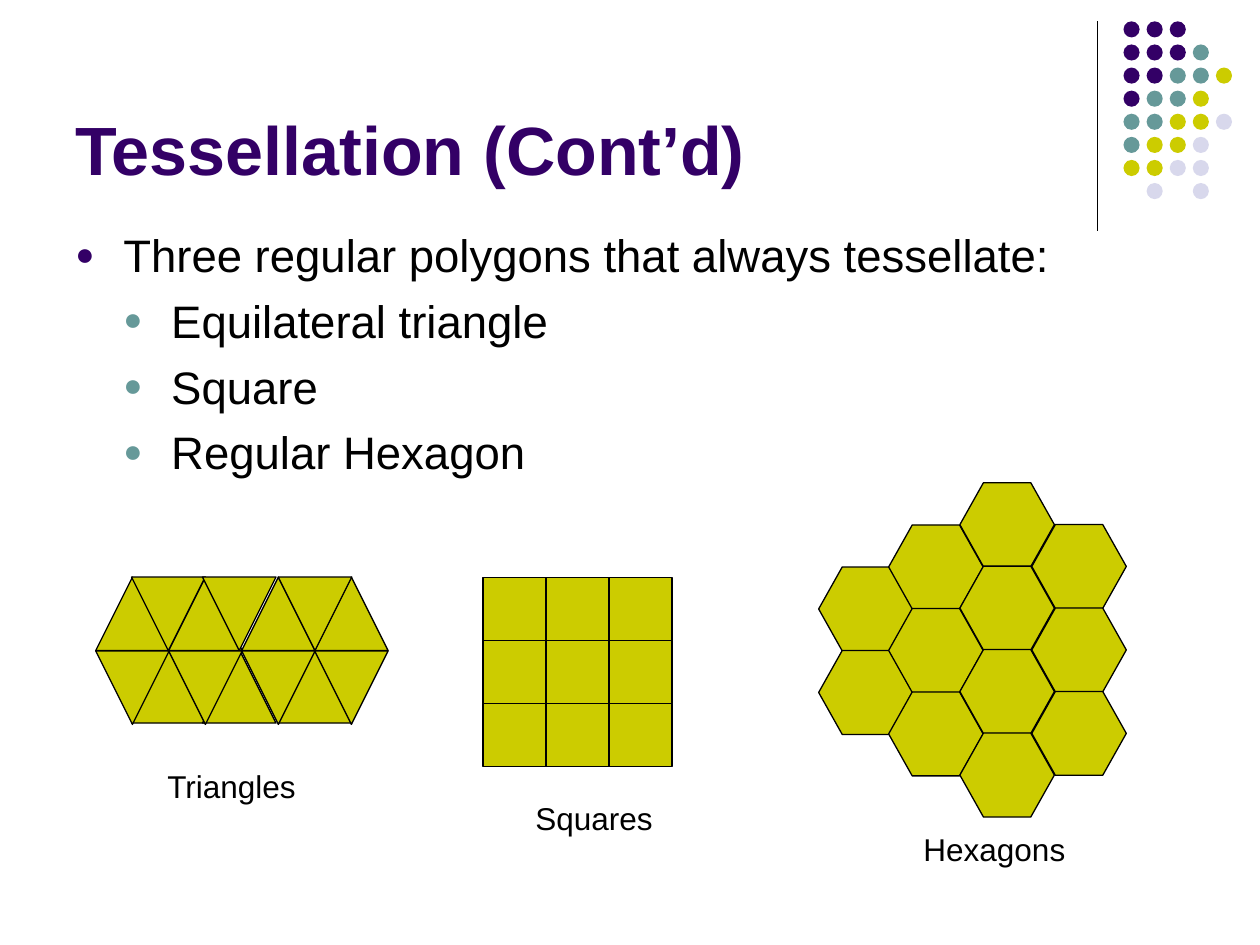
"""Build a slide on the three regular polygons that tessellate."""
from dataclasses import dataclass

from lxml.etree import SubElement
from pptx import Presentation
from pptx.dml.color import RGBColor
from pptx.enum.shapes import MSO_CONNECTOR, MSO_SHAPE
from pptx.enum.text import MSO_ANCHOR, MSO_AUTO_SIZE
from pptx.oxml.ns import qn
from pptx.util import Pt


@dataclass(frozen=True)
class Theme:
    purple: str = "330066"
    teal: str = "669999"
    olive: str = "CCCC00"
    lavender: str = "D8D8EC"
    black: str = "000000"
    font: str = "Arial"
    title_size: float = 39
    body_size: float = 26
    label_size: float = 18
    outline: float = 0.75


theme = Theme()
deck = Presentation()
deck.slide_width, deck.slide_height = Pt(720), Pt(540)
page = deck.slides.add_slide(deck.slide_layouts[6])


def add_tile(kind, left, top, width, height, color=theme.olive, outlined=True):
    shape = page.shapes.add_shape(kind, Pt(left), Pt(top), Pt(width), Pt(height))
    shape.shadow.inherit = False
    shape.fill.solid()
    shape.fill.fore_color.rgb = RGBColor.from_string(color)
    if outlined:
        shape.line.color.rgb = RGBColor.from_string(theme.black)
        shape.line.width = Pt(theme.outline)
    else:
        shape.line.fill.background()
    return shape


def add_text(left, top, width, height, lines, size, color=theme.black,
             bold=False, wrap=True, anchor=MSO_ANCHOR.TOP):
    box = page.shapes.add_textbox(Pt(left), Pt(top), Pt(width), Pt(height))
    frame = box.text_frame
    frame.word_wrap = wrap
    frame.vertical_anchor = anchor
    frame.text = "\n".join(lines)
    for para in frame.paragraphs:
        look = {"name": theme.font, "size": Pt(size), "bold": bold}
        for span in para.runs:
            for name, value in look.items():
                setattr(span.font, name, value)
            span.font.color.rgb = RGBColor.from_string(color)
    return frame


divider = page.shapes.add_connector(
    MSO_CONNECTOR.STRAIGHT, Pt(627), Pt(12.2), Pt(627), Pt(132))
divider.line.color.rgb = RGBColor.from_string(theme.black)
divider.line.width = Pt(theme.outline)
SubElement(divider.element.spPr, qn("a:effectLst"))

dot_colors = {"P": theme.purple, "T": theme.teal, "O": theme.olive, "L": theme.lavender}
dot_rows = ["PPP", "PPPT", "PPTTO", "PTTO", "TTOOL", "TOOL", "OOLL", ".L.L"]
for row, codes in enumerate(dot_rows):
    for column, code in enumerate(codes):
        if code in dot_colors:
            add_tile(MSO_SHAPE.OVAL, 642 + 13.2 * column, 12.2 + 13.2 * row,
                     9.2, 9.2, dot_colors[code], outlined=False)

add_text(36, 9.4, 594, 102.2, ["Tessellation (Cont’d)"], theme.title_size,
         theme.purple, bold=True, anchor=MSO_ANCHOR.BOTTOM)

body = add_text(36, 126, 648, 347, [
    "Three regular polygons that always tessellate:",
    "Equilateral triangle",
    "Square",
    "Regular Hexagon",
], theme.body_size)
for index, para in enumerate(body.paragraphs):
    level = min(index, 1)
    para.level = level
    properties = para._p.get_or_add_pPr()
    properties.set("marL", str(Pt(27.4 * (level + 1))))
    properties.set("indent", str(-Pt(27.4)))
    bullet_color = SubElement(properties, qn("a:buClr"))
    SubElement(bullet_color, qn("a:srgbClr"), val=[theme.purple, theme.teal][level])
    SubElement(properties, qn("a:buSzPct"), val="70000")
    SubElement(properties, qn("a:buFont"), typeface=theme.font)
    SubElement(properties, qn("a:buChar"), char="●")
    if index:
        para.space_before = Pt(6.5)

outer_lefts = [54.7 + 41.7 * column for column in range(4)]
inner_lefts = [75.2, 115.7, 159]
triangle_rows = [
    (outer_lefts, 329.8, False),
    (inner_lefts, 371.2, False),
    (inner_lefts, 329.8, True),
    (outer_lefts, 372, True),
]
for lefts, top, flipped in triangle_rows:
    for left in lefts:
        triangle = add_tile(MSO_SHAPE.ISOSCELES_TRIANGLE, left, top, 42, 42)
        if flipped:
            triangle.element.spPr.xfrm.set("flipV", "1")

for row in range(3):
    for column in range(3):
        add_tile(MSO_SHAPE.RECTANGLE, 276 + 36 * column, 330 + 36 * row, 36, 36)

hexagon_columns = [(467.8, 324, 2), (507.8, 300, 3), (548.5, 275.8, 4), (589.6, 299.7, 3)]
for left, top, count in hexagon_columns:
    for row in range(count):
        hexagon = add_tile(MSO_SHAPE.HEXAGON, left, top + 47.7 * row, 54, 48)
        hexagon.adjustments[0] = 0.281

labels = [("Triangles", 88.6, 435, 89), ("Squares", 298.8, 453, 82),
          ("Hexagons", 520.6, 471, 96)]
for label, left, top, width in labels:
    caption = add_text(left, top, width, 28.8, [label], theme.label_size, wrap=False)
    caption.auto_size = MSO_AUTO_SIZE.SHAPE_TO_FIT_TEXT

deck.save("out.pptx")
